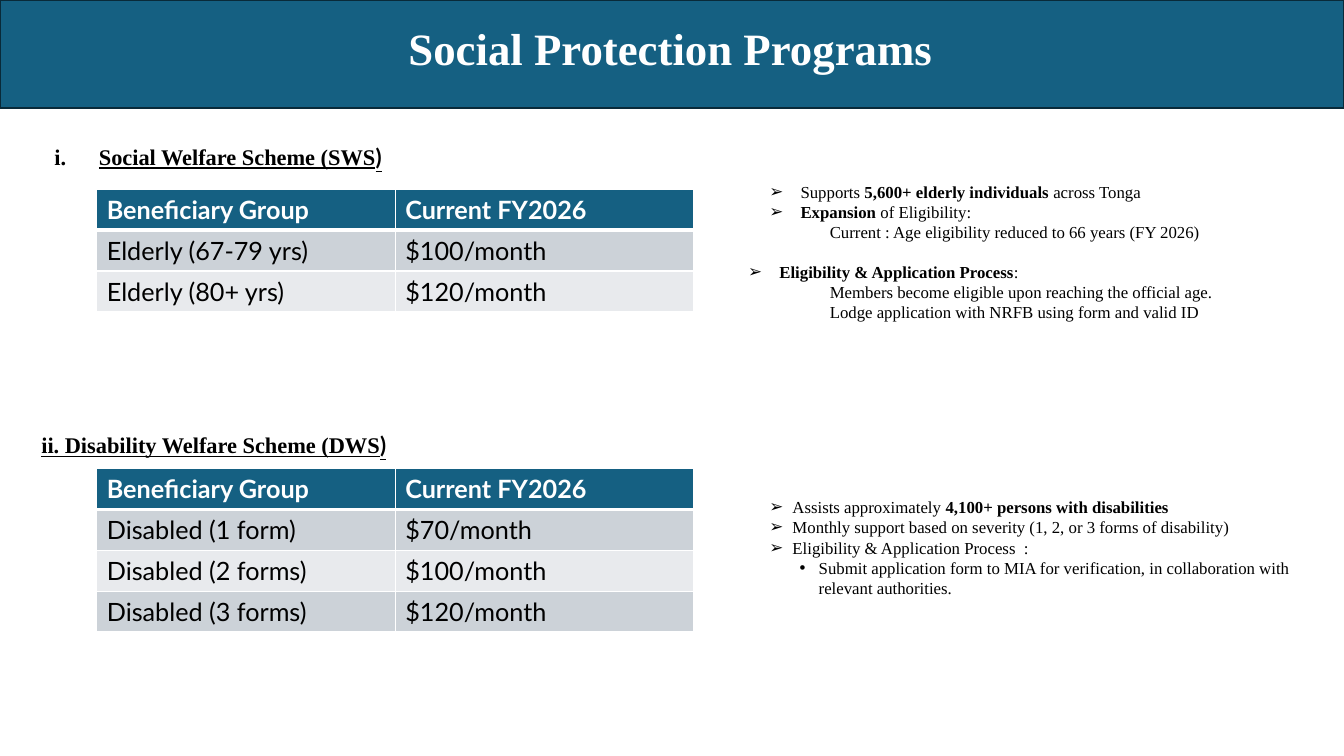
from lxml.etree import SubElement
from pptx import Presentation
from pptx.dml.color import RGBColor
from pptx.enum.shapes import MSO_SHAPE
from pptx.enum.text import MSO_ANCHOR, MSO_AUTO_SIZE, PP_ALIGN
from pptx.oxml import parse_xml
from pptx.oxml.ns import nsdecls, qn
from pptx.util import Inches, Pt


def style(font, color, size, name="Times New Roman", bold=False, underline=False):
    font.name, font.size, font.bold, font.underline = name, Pt(size), bold, underline
    font.color.rgb = RGBColor.from_string(color)


def indent(para, left, hanging, bullet_tag="a:buNone", **bullet):
    para.alignment = PP_ALIGN.LEFT
    properties = para._p.get_or_add_pPr()
    properties.set("marL", str(Inches(left)))
    properties.set("indent", str(Inches(hanging)))
    SubElement(properties, qn(bullet_tag), **bullet)


BLUE, OUTLINE, WHITE, BLACK = "156082", "092A39", "FFFFFF", "000000"
BANDS = ["CCD2D8", "E8EAED"]
ROW_HEIGHT, COLUMN_WIDTH = 0.405, 2.96

deck = Presentation()
deck.slide_width, deck.slide_height = Inches(13.33), Inches(7.5)
page = deck.slides.add_slide(deck.slide_layouts[4])

banner = page.shapes.add_shape(MSO_SHAPE.RECTANGLE, 0, 0, deck.slide_width, Inches(1.07))
banner.shadow.inherit = False
banner.fill.solid()
banner.fill.fore_color.rgb = RGBColor.from_string(BLUE)
banner.line.color.rgb = RGBColor.from_string(OUTLINE)
banner.line.width = Pt(1.5)
page.shapes._spTree.insert(2, banner._element)

places = {
    0: (0.04, 0.15, 13.22, 0.64),
    1: (0.04, 1.37, 9.82, 1.45),
    2: (7.13, 1.75, 6.2, 1.51),
    3: (0, 4.23, 12.81, 3.27),
    4: (7.13, 4.88, 6.2, 1.62),
}
for index, place in places.items():
    box = page.placeholders[index]
    box.left, box.top, box.width, box.height = map(Inches, place)
    box.text_frame.auto_size = MSO_AUTO_SIZE.NONE
    box.text_frame.vertical_anchor = MSO_ANCHOR.TOP

title = page.shapes.title
title.fill.solid()
title.fill.fore_color.rgb = RGBColor.from_string(BLUE)
title.text_frame.text = "Social Protection Programs"
title.text_frame.vertical_anchor = MSO_ANCHOR.MIDDLE
title_para = title.text_frame.paragraphs[0]
title_para.alignment = PP_ALIGN.CENTER
style(title_para.runs[0].font, WHITE, 32, bold=True)

headings = [
    (1, "Social Welfare Scheme (SWS", 0.84, -0.44,
     {"bullet_tag": "a:buAutoNum", "type": "romanLcPeriod"}),
    (3, "ii. Disability Welfare Scheme (DWS", 0.31, 0, {}),
]
for index, words, left, hanging, bullet in headings:
    para = page.placeholders[index].text_frame.paragraphs[0]
    para.space_before = Pt(0)
    indent(para, left, hanging, **bullet)
    for piece, name in [(words, "Times New Roman"), (")", "Lato")]:
        span = para.add_run()
        span.text = piece
        style(span.font, BLACK, 16, name, bold=True, underline=True)

lists = {
    2: [
        ("Supports |5,600+ elderly individuals| across Tonga", 1, 0.71, -0.31, "➢", 0),
        ("|Expansion| of Eligibility:", 1, 0.71, -0.31, "➢", 0),
        ("Current : Age eligibility reduced to 66 years (FY 2026)", 2, 1, 0, "", 0),
        ("|Eligibility & Application Process|:", 1, 0.5, -0.31, "➢", 14),
        ("Members become eligible upon reaching the official age.", 2, 1, 0, "", 0),
        ("Lodge application with NRFB using form and valid ID", 2, 1, 0, "", 0),
    ],
    4: [
        ("Assists approximately |4,100+ persons with disabilities", 1, 0.63, -0.23, "➢", 0),
        ("Monthly support based on severity (1, 2, or 3 forms of disability)",
         1, 0.63, -0.23, "➢", 0),
        ("Eligibility & Application Process  :", 1, 0.63, -0.23, "➢", 0),
        ("Submit application form to MIA for verification, in collaboration with "
         "relevant authorities.", 2, 0.89, -0.19, "•", 0),
    ],
}
for index, items in lists.items():
    frame = page.placeholders[index].text_frame
    for number, (words, level, left, hanging, symbol, gap) in enumerate(items):
        para = frame.add_paragraph() if number else frame.paragraphs[0]
        para.level = level
        para.space_before = Pt(gap)
        if symbol:
            indent(para, left, hanging, "a:buChar", char=symbol)
        else:
            indent(para, left, hanging)
        for position, piece in enumerate(words.split("|")):
            if piece:
                span = para.add_run()
                span.text = piece
                style(span.font, BLACK, 12, bold=position % 2 == 1)

header = ("Beneficiary Group", "Current FY2026")
benefits = [
    (1.88, [header, ("Elderly (67-79 yrs)", "$100/month"), ("Elderly (80+ yrs)", "$120/month")]),
    (4.65, [header, ("Disabled (1 form)", "$70/month"), ("Disabled (2 forms)", "$100/month"),
            ("Disabled (3 forms)", "$120/month")]),
]
for top, rows in benefits:
    table = page.shapes.add_table(
        len(rows), 2, Inches(0.96), Inches(top),
        Inches(2 * COLUMN_WIDTH), Inches(len(rows) * ROW_HEIGHT)).table
    table.horz_banding = False
    for row_number, row in enumerate(rows):
        is_header = row_number == 0
        for column_number, words in enumerate(row):
            cell = table.cell(row_number, column_number)
            cell.text_frame.text = words
            style(cell.text_frame.paragraphs[0].runs[0].font,
                  WHITE if is_header else BLACK, 18, "Lato", bold=is_header)
            cell.fill.solid()
            cell.fill.fore_color.rgb = RGBColor.from_string(
                BLUE if is_header else BANDS[(row_number - 1) % 2])
            borders = {"lnL": 1, "lnR": 1, "lnT": 3 if row_number == 1 else 1,
                       "lnB": 3 if is_header else 1}
            for order, (side, width) in enumerate(borders.items()):
                cell._tc.get_or_add_tcPr().insert(order, parse_xml(
                    f'<a:{side} {nsdecls("a")} w="{Pt(width)}"><a:solidFill>'
                    f'<a:srgbClr val="{WHITE}"/></a:solidFill></a:{side}>'))

deck.save("out.pptx")
